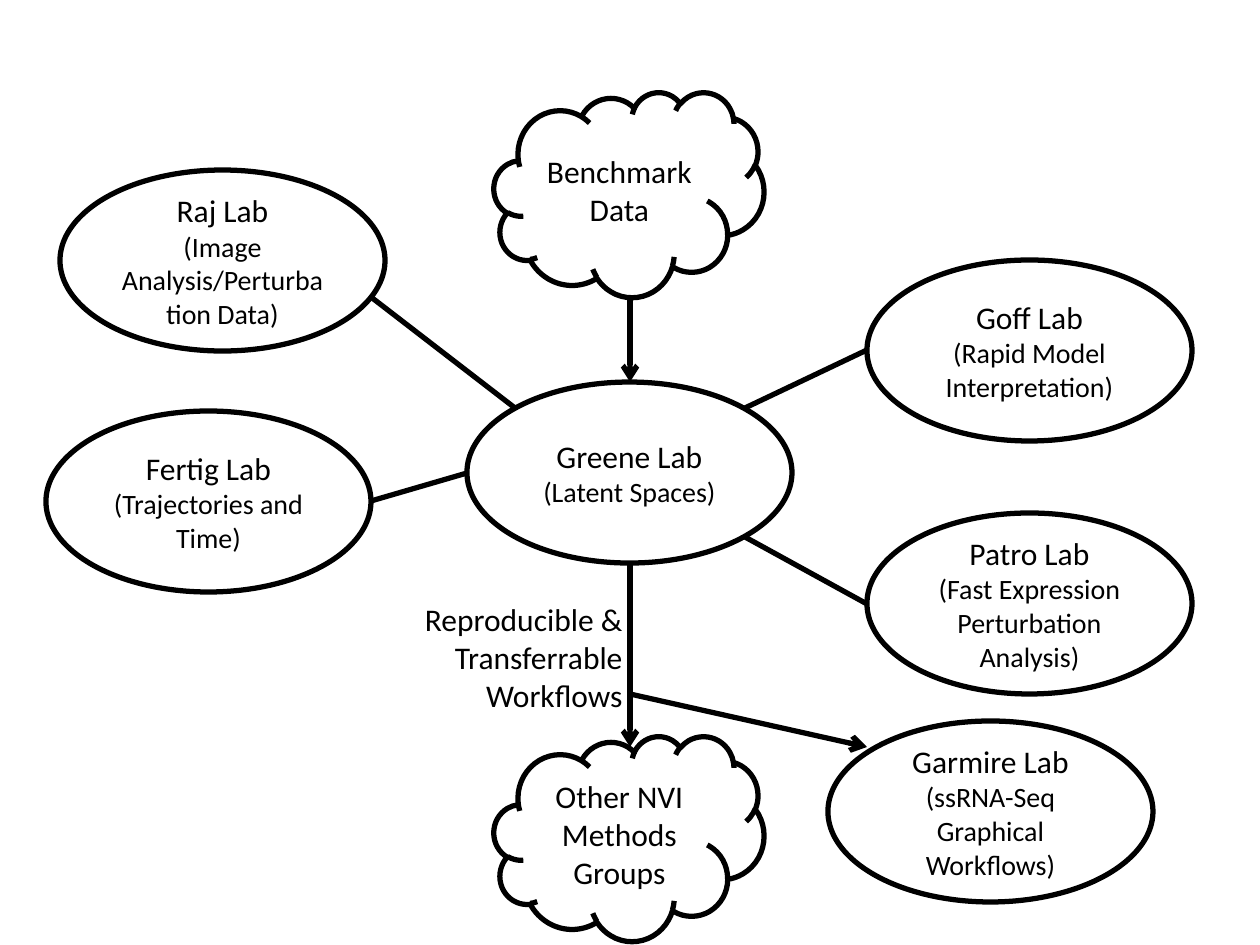
from lxml import etree
from pptx import Presentation
from pptx.dml.color import RGBColor
from pptx.enum.shapes import MSO_CONNECTOR, MSO_SHAPE
from pptx.enum.text import MSO_ANCHOR, MSO_AUTO_SIZE, PP_ALIGN
from pptx.oxml.ns import qn
from pptx.util import Emu, Pt

ELLIPSE, CLOUD = MSO_SHAPE.OVAL, MSO_SHAPE.CLOUD
STRAIGHT = MSO_CONNECTOR.STRAIGHT
CENTER, RIGHT = PP_ALIGN.CENTER, PP_ALIGN.RIGHT
MIDDLE, TOP = MSO_ANCHOR.MIDDLE, MSO_ANCHOR.TOP
FIT_SHAPE = MSO_AUTO_SIZE.SHAPE_TO_FIT_TEXT

EMU_PER_PX = 914400 / 126
BLACK, WHITE = "000000", "FFFFFF"
FONT = "Calibri"
NAME_SIZE, TOPIC_SIZE = 18, 16
LINE_WIDTH = 3
LAB_SIZE = (325, 181)
CLOUD_SIZE = (270, 205)


def px(*lengths):
    return [Emu(round(length * EMU_PER_PX)) for length in lengths]


def color(hex_value):
    return RGBColor.from_string(hex_value)


def set_values(target, values):
    for name, value in values.items():
        setattr(target, name, value)


def outline(line):
    line.color.rgb = color(BLACK)
    line.width = Pt(LINE_WIDTH)


def write(frame, lines, align, frame_values):
    """Fill a text frame with (text, size) paragraphs."""
    set_values(frame, frame_values)
    for index, (text, size) in enumerate(lines):
        paragraph = frame.add_paragraph() if index else frame.paragraphs[0]
        paragraph.alignment = align
        run = paragraph.add_run()
        run.text = text
        set_values(run.font, {"name": FONT, "size": Pt(size)})
        run.font.color.rgb = color(BLACK)


def add_node(slide, outline_kind, box, lines):
    node = slide.shapes.add_shape(outline_kind, *px(*box))
    node.shadow.inherit = False
    node.fill.solid()
    node.fill.fore_color.rgb = color(WHITE)
    outline(node.line)
    write(node.text_frame, lines, CENTER,
          {"word_wrap": True, "vertical_anchor": MIDDLE})


def add_lab(slide, left, top, name, topic):
    add_node(slide, ELLIPSE, (left, top, *LAB_SIZE),
             [(name, NAME_SIZE), (topic, TOPIC_SIZE)])


def add_cloud(slide, left, top, *lines):
    add_node(slide, CLOUD, (left, top, *CLOUD_SIZE),
             [(line, NAME_SIZE) for line in lines])


def add_link(slide, start, end, arrow=False):
    link = slide.shapes.add_connector(STRAIGHT, *px(*start, *end))
    outline(link.line)
    if arrow:
        line_xml = link.line._get_or_add_ln()
        etree.SubElement(line_xml, qn("a:tailEnd"), type="arrow")
    etree.SubElement(link._element.spPr, qn("a:effectLst"))


def add_caption(slide, box, *lines):
    caption = slide.shapes.add_textbox(*px(*box))
    write(caption.text_frame, [(line, NAME_SIZE) for line in lines], RIGHT,
          {"word_wrap": False, "vertical_anchor": TOP, "auto_size": FIT_SHAPE})


def build_lab_network(slide):
    # Hub, its data source and its users
    add_lab(slide, 467, 382, "Greene Lab", "(Latent Spaces)")
    add_cloud(slide, 494, 92, "Benchmark", "Data")
    add_cloud(slide, 494, 736, "Other NVI Methods Groups")

    # Partner labs
    partner_labs = [
        (60, 170, "Raj Lab", "(Image Analysis/Perturbation Data)"),
        (46, 411, "Fertig Lab", "(Trajectories and Time)"),
        (867, 513, "Patro Lab", "(Fast Expression Perturbation Analysis)"),
        (867, 260, "Goff Lab", "(Rapid Model Interpretation)"),
        (828, 721, "Garmire Lab", "(ssRNA-Seq Graphical Workflows)"),
    ]
    for lab in partner_labs:
        add_lab(slide, *lab)

    # Collaboration links
    for partner, hub in [((371, 297), (515, 408)), ((371, 501), (467, 473)),
                         ((867, 604), (745, 537)), ((867, 350), (745, 408))]:
        add_link(slide, partner, hub)

    # Data and workflow arrows
    for start, end in [((630, 297), (630, 382)), ((630, 563), (630, 747)),
                       ((630, 694), (867, 747))]:
        add_link(slide, start, end, arrow=True)

    # Workflow caption
    add_caption(slide, (409, 594, 226, 127),
                "Reproducible &", "Transferrable", "Workflows")


presentation = Presentation()
presentation.slide_width, presentation.slide_height = px(1260, 945)
build_lab_network(presentation.slides.add_slide(presentation.slide_layouts[6]))
presentation.save("out.pptx")
